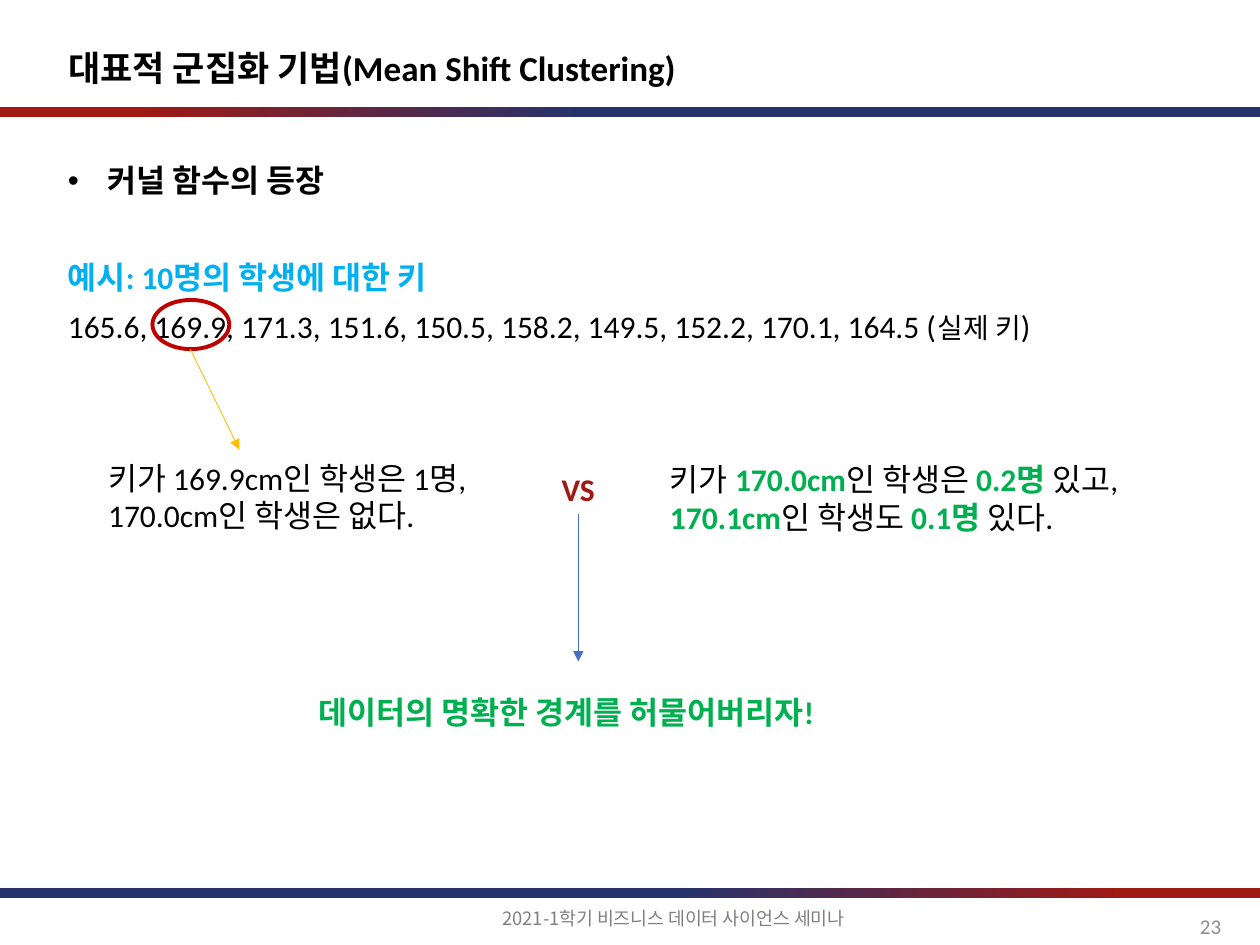
from lxml import etree
from pptx import Presentation
from pptx.dml.color import RGBColor as Rgb
from pptx.enum.shapes import MSO_CONNECTOR as Connector, MSO_SHAPE as Shape
from pptx.enum.text import MSO_ANCHOR as Anchor, MSO_AUTO_SIZE as AutoSize, PP_ALIGN as Align
from pptx.oxml.ns import qn
from pptx.util import Pt

COLORS = {
    "black": "000000", "navy": "26336B", "red": "9F1915", "ring": "C00000",
    "sky": "00B0F0", "green": "00B050", "amber": "FFC000", "blue": "4472C4",
    "gray": "808080", "light gray": "8C8C8C",
}


class SlideWriter:
    latin = "Calibri"
    korean = "Noto Sans CJK KR"
    size = 18

    def __init__(self, slide):
        self.slide = slide

    def color(self, name):
        return Rgb.from_string(COLORS[name])

    def style(self, para, color="black", bold=False, size=None, font=None, align=Align.LEFT):
        para.alignment = align
        para.font.name = font or self.latin
        para.font.size = Pt(size or self.size)
        para.font.bold = bold
        para.font.color.rgb = self.color(color)

    def title(self, text, left, top, width, height):
        title = self.slide.shapes.title
        title.left, title.top, title.width, title.height = map(Pt, (left, top, width, height))
        frame = title.text_frame
        frame.text = text
        frame.vertical_anchor = Anchor.TOP
        frame.auto_size = AutoSize.NONE
        self.style(frame.paragraphs[0], bold=True, size=20, align=Align.JUSTIFY)

    def text(self, text, left, top, width, height, wrap=True, anchor=Anchor.TOP, **style):
        box = self.slide.shapes.add_textbox(*map(Pt, (left, top, width, height)))
        frame = box.text_frame
        frame.word_wrap = wrap
        frame.vertical_anchor = anchor
        frame.paragraphs[0].text = text
        self.style(frame.paragraphs[0], **style)
        return frame

    def paragraph(self, frame, text, **style):
        para = frame.add_paragraph()
        para.text = text
        self.style(para, **style)
        return para

    def span(self, para, text, color=None, bold=None, size=None):
        span = para.add_run()
        span.text = text
        if color:
            span.font.color.rgb = self.color(color)
        if bold is not None:
            span.font.bold = bold
        if size:
            span.font.size = Pt(size)

    def bullet(self, para, indent):
        properties = para._p.get_or_add_pPr()
        properties.set("marL", str(Pt(indent)))
        properties.set("indent", str(-Pt(indent)))
        etree.SubElement(properties, qn("a:buFont")).set("typeface", "Arial")
        etree.SubElement(properties, qn("a:buChar")).set("char", "•")
        default = properties.find(qn("a:defRPr"))
        if default is not None:
            properties.append(default)

    def band(self, top, rotation=0):
        band = self.slide.shapes.add_shape(Shape.RECTANGLE, Pt(0), Pt(top), Pt(720), Pt(5.76))
        band.shadow.inherit = False
        band.rotation = rotation
        band.line.fill.background()
        band.fill.gradient()
        band.fill.gradient_angle = 0
        stops = ((0.54, "navy"), (0.89, "red"))
        for stop, (position, color) in zip(band.fill.gradient_stops, stops):
            stop.position = position
            stop.color.rgb = self.color(color)

    def ring(self, left, top, width, height):
        ring = self.slide.shapes.add_shape(Shape.OVAL, *map(Pt, (left, top, width, height)))
        ring.shadow.inherit = False
        ring.fill.background()
        ring.line.color.rgb = self.color("ring")
        ring.line.width = Pt(2.25)

    def arrow(self, start, end, color):
        arrow = self.slide.shapes.add_connector(Connector.STRAIGHT, *map(Pt, start + end))
        arrow.line.color.rgb = self.color(color)
        arrow.line.width = Pt(0.5)
        etree.SubElement(arrow.line._get_or_add_ln(), qn("a:tailEnd")).set("type", "triangle")
        etree.SubElement(arrow._element.spPr, qn("a:effectLst"))


def main():
    deck = Presentation()
    deck.slide_width, deck.slide_height = Pt(720), Pt(540)
    writer = SlideWriter(deck.slides.add_slide(deck.slide_layouts[5]))

    writer.title("대표적 군집화 기법(Mean Shift Clustering)", 31.7, 23, 618.5, 31.7)
    writer.band(61.2, rotation=180)
    writer.band(507.6)

    body = writer.text("커널 함수의 등장", 31.7, 88.6, 611.3, 168.5,
                       bold=True, align=Align.JUSTIFY)
    heading = body.paragraphs[0]
    heading.space_after = Pt(34)
    writer.bullet(heading, 22.5)
    example = writer.paragraph(body, "예시: 10명의 학생에 대한 키", color="sky",
                               bold=True, align=Align.JUSTIFY)
    example.space_after = Pt(6)
    heights = writer.paragraph(
        body, "165.6, 169.9, 171.3, 151.6, 150.5, 158.2, 149.5, 152.2, 170.1, 164.5 (",
        align=Align.JUSTIFY)
    writer.span(heights, "실제 키", size=16)
    writer.span(heights, ")")

    writer.ring(87.1, 171.4, 43.9, 28.1)
    writer.arrow((108.7, 199.4), (136.8, 257), "amber")
    writer.text("키가 169.9cm인 학생은 1명, 170.0cm인 학생은 없다.", 54.7, 258.5, 239.8, 51.1)

    kernel = writer.text("키가 ", 375.8, 259.2, 285.1, 51.1).paragraphs[0]
    for value, rest in (("170.0cm", "인 학생은 "), ("0.2명", " 있고, "),
                        ("170.1cm", "인 학생도 "), ("0.1명", " 있다.")):
        writer.span(kernel, value, color="green", bold=True)
        writer.span(kernel, rest)

    writer.text("VS", 300.2, 265, 60.5, 28.8, color="red", bold=True, align=Align.CENTER)
    writer.arrow((330.5, 293.8), (330.5, 378), "blue")
    writer.text("데이터의 명확한 경계를 허물어버리자!", 175, 392.4, 323.3, 28.8,
                color="green", bold=True)

    writer.text("2021-1학기 비즈니스 데이터 사이언스 세미나", 280.1, 514.8, 237.6, 20.2,
                wrap=False, color="gray", size=10.5, font=writer.korean)
    writer.text("23", 542.9, 514.8, 162, 28.8, anchor=Anchor.MIDDLE,
                color="light gray", size=12, align=Align.RIGHT)
    deck.save("out.pptx")


if __name__ == "__main__":
    main()
